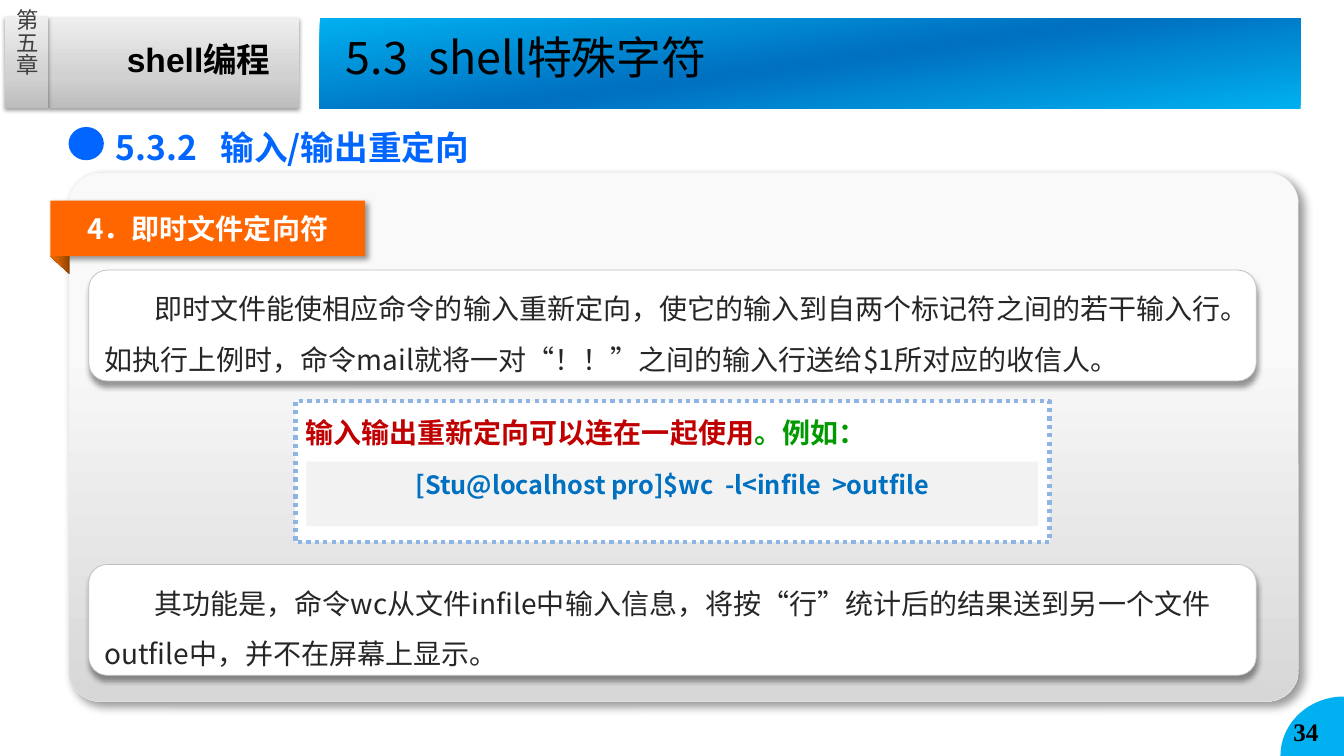
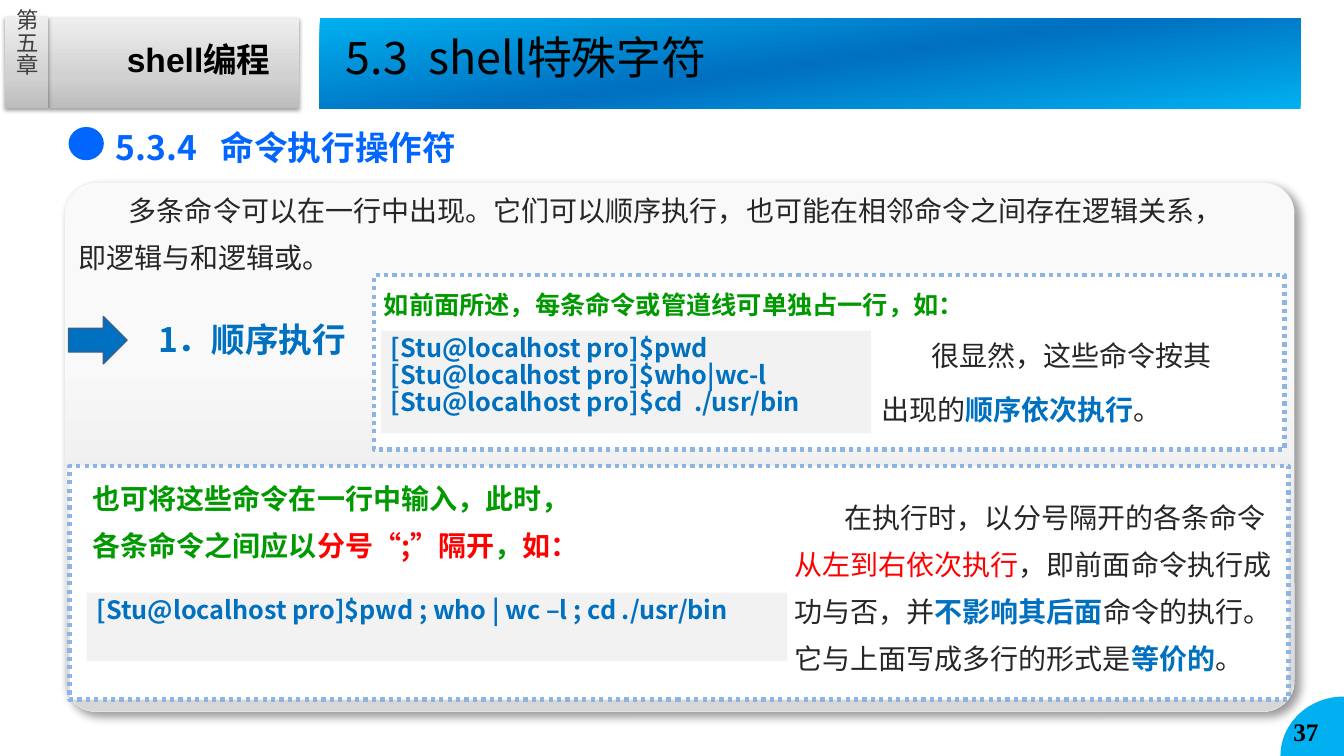
from math import cos, pi, sin

from lxml.etree import SubElement
from pptx import Presentation
from pptx.dml.color import RGBColor
from pptx.enum.dml import MSO_LINE
from pptx.enum.shapes import MSO_SHAPE
from pptx.enum.text import MSO_ANCHOR, PP_ALIGN
from pptx.oxml.ns import qn
from pptx.util import Inches, Pt

# Shared look
CJK = "Noto Sans CJK SC"
BLACK, WHITE, INK = "000000", "FFFFFF", "262626"
BLUE, HEADING_BLUE, SKY = "0070C0", "0066FF", "00B0F0"
GREEN, RED, DARK_RED, ORANGE = "009900", "FF0000", "C00000", "FF6600"
CODE_FILL, DOT_BLUE = "F2F2F2", "8EB4E3"
GREY_FADE = ([(0, "BDBDBD"), (35, "D1D1D1"), (100, "EEEEEE")], 270)
BLUE_FADE = ([(0, SKY), (50, BLUE), (100, SKY)], 262)
PANEL_FADE = ([(33, "F9F9F9"), (100, "D7D7D7")], 90)
FOLD_FADE = ([(0, "8D4000"), (50, "C85B00"), (100, "EE6B00")], 0)
# Shadows: opacity %, blur pt, distance pt, direction
TAB_SHADOW, PANEL_SHADOW = (38, 3.1, 1.6, 90), (40, 6, 5, 45)
RIBBON_SHADOW, CARD_SHADOW = (40, 4, 3, 45), (40, 4, 3, 90)

# Text styles: font values and paragraph values
BODY = {"size": 20, "color": INK}
STRONG = {"color": BLUE, "bold": True}
CODE = {"size": 18, "color": BLUE, "bold": True}
LEAD = {"size": 20, "color": GREEN, "bold": True}
HEADING = {"size": 24, "color": HEADING_BLUE, "bold": True}
LEAD_SPACING = {"line_spacing": 1.2, "space_after": Pt(5)}
CENTERED = {"alignment": PP_ALIGN.CENTER}
INDENT = 0.5


def rgb(color):
    return RGBColor.from_string(color)


def inside(box, dx, dy, width, height):
    return box[0] + dx, box[1] + dy, width, height


def fade(shape, stops, angle):
    shape.fill.gradient()
    shape.fill.gradient_angle = (360 - angle) % 360
    stop_list = shape.element.spPr.find(qn("a:gradFill")).find(qn("a:gsLst"))
    for old in list(stop_list):
        stop_list.remove(old)
    for position, color in stops:
        stop = SubElement(stop_list, qn("a:gs"), pos=str(position * 1000))
        SubElement(stop, qn("a:srgbClr"), val=color)


def cast_shadow(shape, opacity, blur, distance, direction):
    effects = shape.element.spPr.find(qn("a:effectLst"))
    outer = SubElement(effects, qn("a:outerShdw"), blurRad=str(Pt(blur)),
                       dist=str(Pt(distance)), dir=str(direction * 60000),
                       algn="ctr", rotWithShape="0")
    color = SubElement(outer, qn("a:srgbClr"), val=BLACK)
    SubElement(color, qn("a:alpha"), val=str(opacity * 1000))


def paint(shape, fill, line=None, shadow=None):
    """Fill is a hex colour or a fade; line is (colour, width, dash)."""
    shape.shadow.inherit = False
    if isinstance(fill, str):
        shape.fill.solid()
        shape.fill.fore_color.rgb = rgb(fill)
    else:
        fade(shape, *fill)
    if line:
        color, width, dash = line
        shape.line.color.rgb = rgb(color)
        shape.line.width = Pt(width)
        if dash:
            shape.line.dash_style = dash
    else:
        shape.line.fill.background()
    if shadow:
        cast_shadow(shape, *shadow)
    return shape


def add_block(slide, kind, box, fill, line=None, shadow=None):
    shape = slide.shapes.add_shape(kind, *map(Inches, box))
    return paint(shape, fill, line, shadow)


def add_run(paragraph, text, style):
    run = paragraph.add_run()
    run.text = text
    values = {"name": CJK, "bold": False, **style}
    values["size"] = Pt(values["size"])
    run.font.color.rgb = rgb(values.pop("color"))
    for key, value in values.items():
        setattr(run.font, key, value)
    properties = run.font._element
    properties.set("lang", "zh-CN")
    east_asian = SubElement(properties, qn("a:ea"))
    east_asian.set("typeface", CJK)


def write(shape, paragraphs, style, spacing=None, indent=0, tab=0, **frame_values):
    """Each paragraph is a list of texts or of (text, style change) pairs."""
    frame = shape.text_frame
    frame_values = {"word_wrap": True, "vertical_anchor": MSO_ANCHOR.TOP, **frame_values}
    for key, value in frame_values.items():
        setattr(frame, key, value)
    for number, runs in enumerate(paragraphs):
        paragraph = frame.add_paragraph() if number else frame.paragraphs[0]
        for key, value in {"alignment": PP_ALIGN.LEFT, **(spacing or {})}.items():
            setattr(paragraph, key, value)
        properties = paragraph._p.get_or_add_pPr()
        if indent:
            properties.set("indent", str(Inches(indent)))
        if tab:
            tabs = SubElement(properties, qn("a:tabLst"))
            SubElement(tabs, qn("a:tab"), pos=str(Inches(tab)), algn="l")
        for run in runs:
            text, change = (run, {}) if isinstance(run, str) else run
            add_run(paragraph, text, {**style, **change})
    return shape


def add_text(slide, box, paragraphs, style, spacing=None, **options):
    label = slide.shapes.add_textbox(*map(Inches, box))
    return write(label, paragraphs, style, spacing, **options)


NO_MARGINS = dict.fromkeys(
    ("margin_left", "margin_top", "margin_right", "margin_bottom"), 0)


def draw_header(slide, box):
    # Course name and chapter tab
    add_block(slide, MSO_SHAPE.RECTANGLE, inside(box, 0.43, 0.01, 2.49, 0.89),
              GREY_FADE, shadow=TAB_SHADOW)
    add_text(slide, inside(box, 0.96, 0.17, 2.16, 0.53), [["shell编程"]],
             {"size": 24, "color": BLACK, "bold": True, "name": "Arial"}, indent=0.15)
    add_block(slide, MSO_SHAPE.RECTANGLE, inside(box, 0, 0, 0.43, 0.9),
              GREY_FADE, shadow=TAB_SHADOW)
    chapter = add_text(slide, inside(box, 0.07, -0.08, 0.29, 0.7), [["第五章"]],
                       {"size": 16, "color": "404040"}, CENTERED,
                       vertical_anchor=MSO_ANCHOR.MIDDLE, **NO_MARGINS)
    chapter.element.txBody.bodyPr.set("vert", "eaVert")
    # Title band
    add_block(slide, MSO_SHAPE.RECTANGLE, inside(box, 3.12, 0.01, 9.73, 0.9), BLUE_FADE)
    add_text(slide, inside(box, 3.38, 0.12, 4.43, 0.69), [["5.3\tshell特殊字符"]],
             {"size": 32, "color": BLACK}, tab=0.82, **NO_MARGINS)


def draw_page_corner(slide, box, number):
    left, top, width, height = box
    right, bottom = left + width, top + height
    arc = [(Inches(right - width * cos(step * pi / 48)),
            Inches(bottom - height * sin(step * pi / 48))) for step in range(25)]
    outline = slide.shapes.build_freeform(*arc[0])
    outline.add_line_segments(arc[1:] + [(Inches(right), Inches(bottom))])
    paint(outline.convert_to_shape(), SKY)
    add_text(slide, inside(box, 0.03, 0.15, 0.6, 0.4), [[str(number)]],
             {"size": 18, "color": BLACK, "bold": True, "name": "Times New Roman"})


def draw_section_heading(slide, box, number, name):
    add_text(slide, inside(box, 0.37, -0.13, 4.43, 0.58), [[f"{number}\t{name}"]],
             HEADING, LEAD_SPACING, tab=1.04)
    add_block(slide, MSO_SHAPE.OVAL, inside(box, 0, 0, 0.35, 0.33), HEADING_BLUE)


def start_slide(deck, page, section, name, panel_box):
    slide = deck.slides.add_slide(deck.slide_layouts[6])
    draw_header(slide, (0.05, 0.17, 12.85, 0.91))
    draw_page_corner(slide, (12.7, 6.91, 0.63, 0.59), page)
    panel = add_block(slide, MSO_SHAPE.ROUNDED_RECTANGLE, panel_box, PANEL_FADE,
                      ("EAEAEA", 0.25, None), PANEL_SHADOW)
    panel.adjustments[0] = 0.06
    draw_section_heading(slide, (0.68, 1.26, 4.8, 0.33), section, name)
    return slide


def draw_ribbon(slide, box, title):
    ribbon = add_block(slide, MSO_SHAPE.RECTANGLE, box, ORANGE, shadow=RIBBON_SHADOW)
    write(ribbon, [[title]], {"size": 20, "color": WHITE, "bold": True}, CENTERED,
          vertical_anchor=MSO_ANCHOR.MIDDLE)
    fold = add_block(slide, MSO_SHAPE.RIGHT_TRIANGLE,
                     inside(box, 0, box[3], 0.19, 0.18), FOLD_FADE)
    fold.rotation = 180


def draw_card(slide, box, text):
    card = add_block(slide, MSO_SHAPE.ROUNDED_RECTANGLE, box, WHITE,
                     ("BFBFBF", 0.5, None), CARD_SHADOW)
    write(card, [[text]], BODY, {"line_spacing": 1.5}, indent=INDENT,
          vertical_anchor=MSO_ANCHOR.MIDDLE)


def draw_dotted_frame(slide, box):
    add_block(slide, MSO_SHAPE.RECTANGLE, box, WHITE, (DOT_BLUE, 3, MSO_LINE.ROUND_DOT))


def draw_code(slide, box, lines, spacing):
    code = add_block(slide, MSO_SHAPE.RECTANGLE, box, CODE_FILL)
    write(code, [[line] for line in lines], CODE, spacing)


def draw_chained_example(slide, box):
    draw_dotted_frame(slide, box)
    add_text(slide, inside(box, 0, 0.03, 6.89, 0.47),
             [[("输入输出重新定向可以连在一起使用", {"color": DARK_RED}), "。例如："]],
             LEAD, LEAD_SPACING)
    draw_code(slide, inside(box, 0.11, 0.6, 7.26, 0.64),
              ["[Stu@localhost pro]$wc  -l<infile  >outfile"],
              {**CENTERED, "line_spacing": 1.1})


def draw_order_label(slide, box):
    add_text(slide, inside(box, 0.79, 0, 2.07, 0.53), [["1．顺序执行"]],
             {**HEADING, "color": BLUE})
    add_block(slide, MSO_SHAPE.RIGHT_ARROW, inside(box, 0, 0.03, 0.58, 0.47), BLUE,
              ("3A5F8C", 1, None))


def draw_separate_lines(slide, box):
    draw_dotted_frame(slide, box)
    add_text(slide, inside(box, 0, 0.03, 7.73, 0.46),
             [["如前面所述，每条命令或管道线可单独占一行，如："]],
             {**LEAD, "size": 18}, LEAD_SPACING)
    draw_code(slide, inside(box, 0.07, 0.55, 4.86, 1.02),
              ["[Stu@localhost pro]$pwd",
               "[Stu@localhost pro]$who|wc-l",
               "[Stu@localhost pro]$cd  ./usr/bin"], {"line_spacing": 0.9})
    add_text(slide, inside(box, 4.93, 0.38, 3.68, 1.17),
             [["很显然，这些命令按其出现的", ("顺序依次执行", STRONG), "。"]],
             BODY, {"line_spacing": 1.6}, indent=INDENT)


def draw_single_line(slide, box):
    draw_dotted_frame(slide, box)
    red = {"color": RED}
    add_text(slide, inside(box, 0.13, 0.04, 11.12, 0.97),
             [["也可将这些命令在一行中输入，此时，"],
              ["各条命令之间应以", ("分号“;”隔开", red), "，", ("如：", red)]],
             LEAD, LEAD_SPACING)
    draw_code(slide, inside(box, 0.17, 1.26, 6.95, 0.68),
              ["[Stu@localhost pro]$pwd ; who | wc –l ; cd ./usr/bin"],
              {"line_spacing": 0.9})
    add_text(slide, inside(box, 7.09, 0.16, 5, 1.97),
             [["在执行时，以分号隔开的各条命令", ("从左到右依次执行", red),
               "，即前面命令执行成功与否，并", ("不影响其后面", STRONG),
               "命令的执行。它与上面写成多行的形式是", ("等价的", STRONG), "。"]],
             BODY, {"line_spacing": 1.4}, indent=INDENT)


def build_redirection(deck):
    slide = start_slide(deck, 34, "5.3.2", "输入/输出重定向", (0.68, 1.71, 12.2, 5.25))
    draw_ribbon(slide, (0.5, 1.99, 3.12, 0.55), "4．即时文件定向符")
    draw_chained_example(slide, (2.93, 3.98, 7.48, 1.4))
    draw_card(slide, (0.88, 2.68, 11.58, 1.1),
              "即时文件能使相应命令的输入重新定向，使它的输入到自两个标记符之间的若干输入行。"
              "如执行上例时，命令mail就将一对“！！”之间的输入行送给$1所对应的收信人。")
    draw_card(slide, (0.88, 5.6, 11.58, 1.1),
              "其功能是，命令wc从文件infile中输入信息，将按“行”统计后的结果"
              "送到另一个文件outfile中，并不在屏幕上显示。")


def build_operators(deck):
    slide = start_slide(deck, 37, "5.3.4", "命令执行操作符", (0.64, 1.81, 12.2, 5.25))
    add_text(slide, (0.68, 1.74, 11.29, 1.03),
             [["多条命令可以在一行中出现。它们可以顺序执行，"
               "也可能在相邻命令之间存在逻辑关系，即逻辑与和逻辑或。"]],
             BODY, {"line_spacing": 1.4}, indent=INDENT)
    draw_order_label(slide, (0.68, 3.11, 2.86, 0.53))
    draw_separate_lines(slide, (3.71, 2.73, 9.03, 1.73))
    draw_single_line(slide, (0.69, 4.62, 12.09, 2.32))


def main():
    deck = Presentation()
    deck.slide_width, deck.slide_height = Inches(13.33), Inches(7.5)
    build_redirection(deck)
    build_operators(deck)
    deck.save("out.pptx")


if __name__ == "__main__":
    main()
